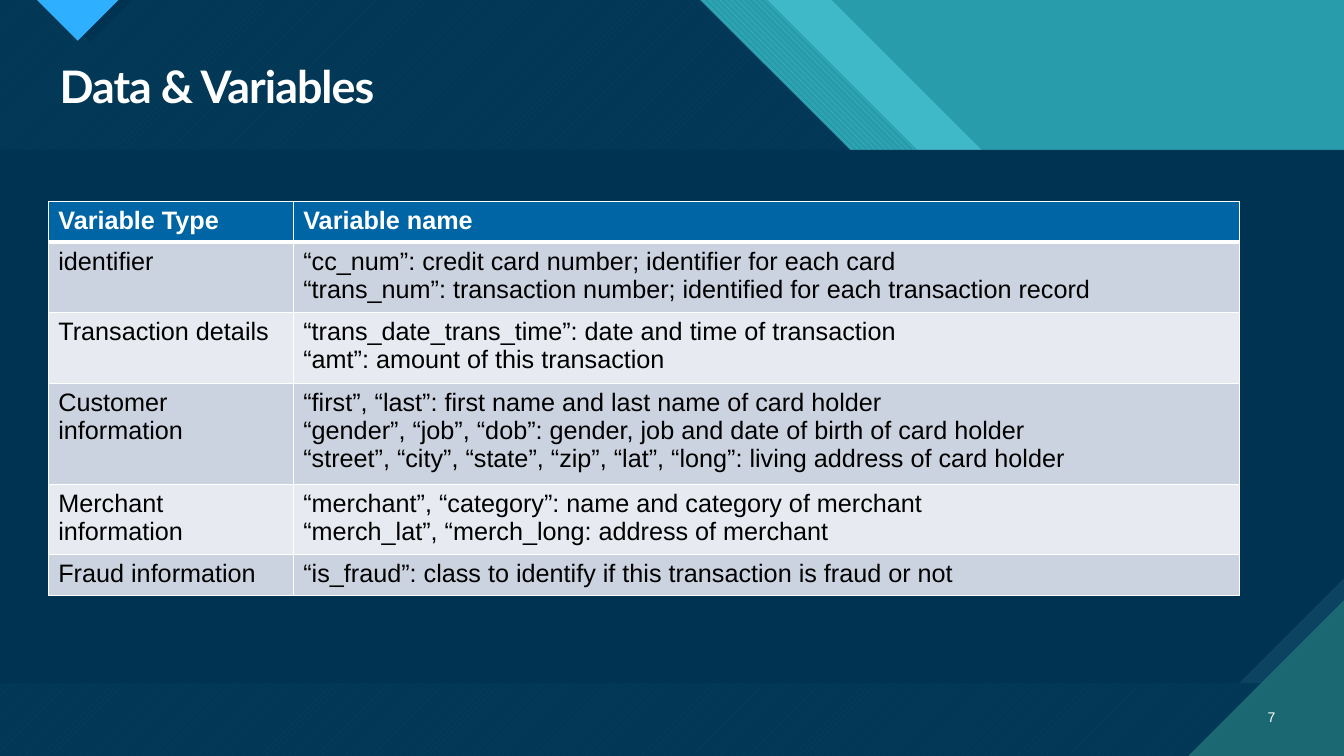
from dataclasses import dataclass
from typing import Optional

from lxml.etree import SubElement
from pptx import Presentation
from pptx.dml.color import RGBColor
from pptx.enum.dml import MSO_PATTERN
from pptx.enum.text import MSO_ANCHOR, PP_ALIGN
from pptx.oxml.ns import qn
from pptx.util import Pt

HUES = {
    "teal": "299CAB", "aqua": "47C3D3", "pine": "1B6872", "navy": "003352",
    "slate": "0C4360", "sky": "2FAFFF", "head": "0065A4", "odd": "CCD3E0",
    "even": "E7EAF0", "white": "FFFFFF", "black": "000000",
}
WIDE, HIGH = 960, 540
TOP, BASE = 107, 488
SNIP = 75
CORNER = 111


@dataclass
class Area:
    points: list[tuple[float, float]]
    hue: str
    back: str = ""
    weave: Optional[MSO_PATTERN] = None
    alpha: int = 100


@dataclass
class Label:
    text: str
    box: tuple[float, float, float, float]
    size: float
    font: str
    bold: bool = False
    align: PP_ALIGN = PP_ALIGN.LEFT
    anchor: MSO_ANCHOR = MSO_ANCHOR.TOP
    space: float = 1.0
    track: int = 0


@dataclass
class Entry:
    kind: str
    lines: list[str]


def color(name: str) -> RGBColor:
    return RGBColor.from_string(HUES[name])


def slant(left: float) -> list[tuple[float, float]]:
    return [(0, 0), (left, 0), (left + HIGH, HIGH), (0, HIGH)]


def wedge(mid: float, half: float) -> list[tuple[float, float]]:
    return [(mid - half, 0), (mid, half), (mid + half, 0)]


def panel(cut: float) -> list[tuple[float, float]]:
    return [(0, TOP), (WIDE, TOP), (WIDE, BASE - cut), (WIDE - cut, BASE), (0, BASE)]


def draw_area(slide, area: Area) -> None:
    first, *rest = [(Pt(x), Pt(y)) for x, y in area.points]
    pen = slide.shapes.build_freeform(*first)
    pen.add_line_segments(rest, close=True)
    shape = pen.convert_to_shape()
    shape.shadow.inherit = False
    shape.line.fill.background()
    fill = shape.fill
    if area.weave is not None:
        fill.patterned()
        fill.pattern = area.weave
        fill.fore_color.rgb = color(area.hue)
        fill.back_color.rgb = color(area.back)
        return
    fill.solid()
    fill.fore_color.rgb = color(area.hue)
    if area.alpha < 100:
        tint = shape._element.spPr.find(qn("a:solidFill"))[0]
        SubElement(tint, qn("a:alpha"), val=str(area.alpha * 1000))


def add_run(para, text: str, size: float, font: str, hue: str, bold: bool):
    run = para.add_run()
    run.text = text
    run.font.size = Pt(size)
    run.font.name = font
    run.font.bold = bold
    run.font.color.rgb = color(hue)
    return run


def draw_label(slide, label: Label) -> None:
    frame = slide.shapes.add_textbox(*map(Pt, label.box)).text_frame
    frame.word_wrap = True
    frame.vertical_anchor = label.anchor
    para = frame.paragraphs[0]
    para.alignment = label.align
    para.line_spacing = label.space
    run = add_run(para, label.text, label.size, label.font, "white", label.bold)
    if label.track:
        run._r.get_or_add_rPr().set("spc", str(label.track))


def edge_cell(cell, head: bool, under: bool) -> None:
    props = cell._tc.get_or_add_tcPr()
    sizes = {"L": 1, "R": 1, "T": 3 if under else 1, "B": 3 if head else 1}
    for side, size in sizes.items():
        line = SubElement(props, qn(f"a:ln{side}"), w=str(Pt(size)))
        paint = SubElement(line, qn("a:solidFill"))
        SubElement(paint, qn("a:srgbClr"), val=HUES["white"])


def draw_table(slide, items: list[Entry]) -> None:
    sizes = [10 + 19 * len(item.lines) for item in items]
    cols = [175, 676]
    box = (34.5, 144, sum(cols), sum(sizes))
    table = slide.shapes.add_table(len(items), 2, *map(Pt, box)).table
    for col, width in zip(table.columns, cols):
        col.width = Pt(width)
    for row, (item, size) in enumerate(zip(items, sizes)):
        table.rows[row].height = Pt(size)
        head = row == 0
        fill = "head" if head else ("odd" if row % 2 else "even")
        for col, lines in enumerate(([item.kind], item.lines)):
            cell = table.cell(row, col)
            edge_cell(cell, head, row == 1)
            cell.fill.solid()
            cell.fill.fore_color.rgb = color(fill)
            frame = cell.text_frame
            for spot, text in enumerate(lines):
                para = frame.add_paragraph() if spot else frame.paragraphs[0]
                add_run(para, text, 18, "Arial", "white" if head else "black", head)


AREAS = [
    Area(slant(594), "aqua", alpha=74),
    Area(slant(548), "aqua", "teal", MSO_PATTERN.WIDE_DOWNWARD_DIAGONAL),
    Area(slant(500), "aqua", "pine", MSO_PATTERN.WIDE_UPWARD_DIAGONAL),
    Area(slant(500), "navy", alpha=90),
    Area(wedge(64.5, 30), "navy"),
    Area(wedge(55.5, 29), "sky", "pine", MSO_PATTERN.DARK_HORIZONTAL),
    Area(panel(0), "slate", "pine", MSO_PATTERN.DARK_VERTICAL),
    Area(panel(SNIP), "navy"),
    Area([(WIDE - CORNER, HIGH), (WIDE, HIGH), (WIDE, HIGH - CORNER)],
         "pine", "aqua", MSO_PATTERN.DARK_HORIZONTAL),
]
LABELS = [
    Label("Data & Variables", (35.5, 42.5, 883, 42.5), 32, "Lato",
          bold=True, space=0.9, track=-70),
    Label("7", (886, 497.5, 32, 29), 10, "Arial",
          align=PP_ALIGN.RIGHT, anchor=MSO_ANCHOR.MIDDLE),
]
ITEMS = [
    Entry("Variable Type", ["Variable name"]),
    Entry("identifier", [
        "“cc_num”: credit card number; identifier for each card",
        "“trans_num”: transaction number; identified for each transaction record",
    ]),
    Entry("Transaction details", [
        "“trans_date_trans_time”: date and time of transaction",
        "“amt”: amount of this transaction",
    ]),
    Entry("Customer information", [
        "“first”, “last”: first name and last name of card holder",
        "“gender”, “job”, “dob”: gender, job and date of birth of card holder",
        "“street”, “city”, “state”, “zip”, “lat”, “long”: living address of card holder",
    ]),
    Entry("Merchant information", [
        "“merchant”, “category”: name and category of merchant",
        "“merch_lat”, “merch_long: address of merchant",
    ]),
    Entry("Fraud information", [
        "“is_fraud”: class to identify if this transaction is fraud or not",
    ]),
]

deck = Presentation()
deck.slide_width, deck.slide_height = Pt(WIDE), Pt(HIGH)
slide = deck.slides.add_slide(deck.slide_layouts[6])
slide.background.fill.solid()
slide.background.fill.fore_color.rgb = color("teal")
for area in AREAS:
    draw_area(slide, area)
for label in LABELS:
    draw_label(slide, label)
draw_table(slide, ITEMS)
deck.save("out.pptx")
